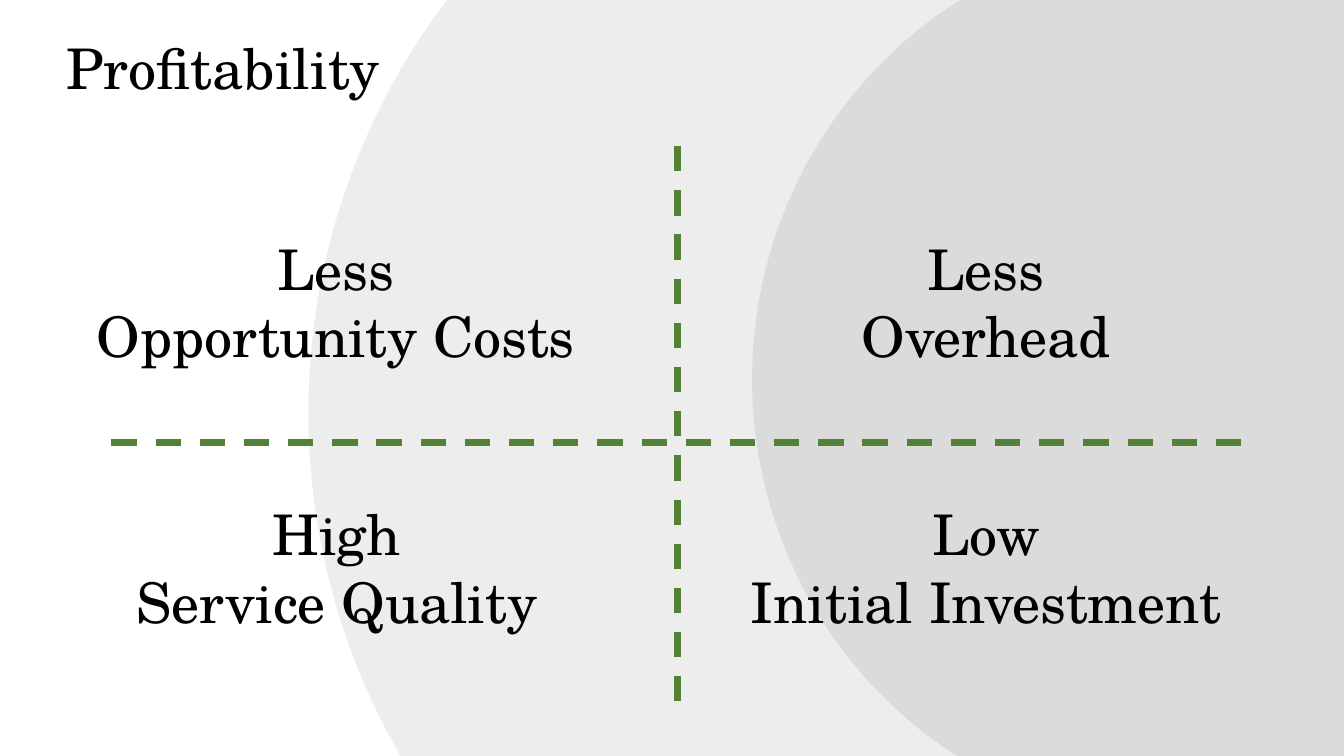
from dataclasses import dataclass

import lxml.etree
import pptx
import pptx.dml.color
import pptx.enum.dml
import pptx.enum.shapes
import pptx.enum.text
import pptx.oxml.ns
import pptx.shapes.base
import pptx.slide
import pptx.text.text
import pptx.util

Inches = pptx.util.Inches
Align = pptx.enum.text.PP_ALIGN
FONT = "TeX Gyre Schola"
BLACK = "000000"
GREEN = "548235"


@dataclass
class Box:
    left: float
    top: float
    width: float
    height: float


@dataclass
class Disc:
    box: Box
    fill: str


@dataclass
class Label:
    box: Box
    text: str


@dataclass
class Axis:
    x1: float
    y1: float
    x2: float
    y2: float


DISCS = [
    Disc(Box(3.06, -2.6, 13.16, 13.39), "EDEDED"),
    Disc(Box(7.46, -0.66, 8.7, 8.84), "DBDBDB"),
]
TOP, LOW, HIGH = 2.28, 4.91, 1.45
# A newline starts a paragraph; a vertical tab breaks the line within one.
LABELS = [
    Label(Box(0.23, TOP, 6.2, HIGH), "Less\nOpportunity Costs"),
    Label(Box(1.24, LOW, 4.2, HIGH), "High\nService Quality"),
    Label(Box(6.68, LOW, 6.2, HIGH), "Low\vInitial Investment"),
    Label(Box(5.01, TOP, 9.54, HIGH), "Less\vOverhead"),
]
TITLE = Label(Box(0.56, 0.28, 9.54, 0.77), "Profitability")
AXES = [Axis(6.72, 1.45, 6.72, 6.97), Axis(12.31, 4.39, 1.08, 4.39)]


def paint(color: pptx.dml.color.ColorFormat, code: str) -> None:
    color.rgb = pptx.dml.color.RGBColor.from_string(code)


def place(shape: pptx.shapes.base.BaseShape, box: Box) -> None:
    shape.left, shape.top = Inches(box.left), Inches(box.top)
    shape.width, shape.height = Inches(box.width), Inches(box.height)


def write(frame: pptx.text.text.TextFrame, text: str, *, size: float = 40,
          color: str = BLACK, align: Align = Align.CENTER) -> None:
    frame.text = text
    frame.word_wrap = True
    frame.auto_size = pptx.enum.text.MSO_AUTO_SIZE.SHAPE_TO_FIT_TEXT
    frame.vertical_anchor = pptx.enum.text.MSO_ANCHOR.TOP
    for para in frame.paragraphs:
        para.alignment = align
        for run in para.runs:
            run.font.name = FONT
            run.font.size = pptx.util.Pt(size)
            paint(run.font.color, color)


def add_disc(slide: pptx.slide.Slide, disc: Disc) -> None:
    shape = slide.shapes.add_shape(
        pptx.enum.shapes.MSO_SHAPE.OVAL, 0, 0, 0, 0)
    place(shape, disc.box)
    shape.shadow.inherit = False
    shape.fill.solid()
    paint(shape.fill.fore_color, disc.fill)
    shape.line.fill.background()


def add_label(slide: pptx.slide.Slide, label: Label) -> None:
    shape = slide.shapes.add_textbox(0, 0, 0, 0)
    write(shape.text_frame, label.text)
    place(shape, label.box)


def add_title(slide: pptx.slide.Slide) -> None:
    """Fill the title placeholder and bring it in front of the discs."""
    title = slide.shapes.title
    write(title.text_frame, TITLE.text, align=Align.LEFT)
    place(title, TITLE.box)
    title.element.getparent().append(title.element)


def add_axis(slide: pptx.slide.Slide, axis: Axis) -> None:
    line = slide.shapes.add_connector(
        pptx.enum.shapes.MSO_CONNECTOR.STRAIGHT,
        Inches(axis.x1), Inches(axis.y1), Inches(axis.x2), Inches(axis.y2))
    line.line.width = pptx.util.Pt(4.5)
    line.line.dash_style = pptx.enum.dml.MSO_LINE.DASH
    paint(line.line.color, GREEN)
    lxml.etree.SubElement(
        line.element.spPr, pptx.oxml.ns.qn("a:effectLst"))


def main() -> None:
    deck = pptx.Presentation()
    deck.slide_width, deck.slide_height = Inches(13.33), Inches(7.5)
    slide = deck.slides.add_slide(deck.slide_layouts.get_by_name("Title Only"))
    for disc in DISCS:
        add_disc(slide, disc)
    for label in LABELS:
        add_label(slide, label)
    add_title(slide)
    for axis in AXES:
        add_axis(slide, axis)
    deck.save("out.pptx")


if __name__ == "__main__":
    main()
